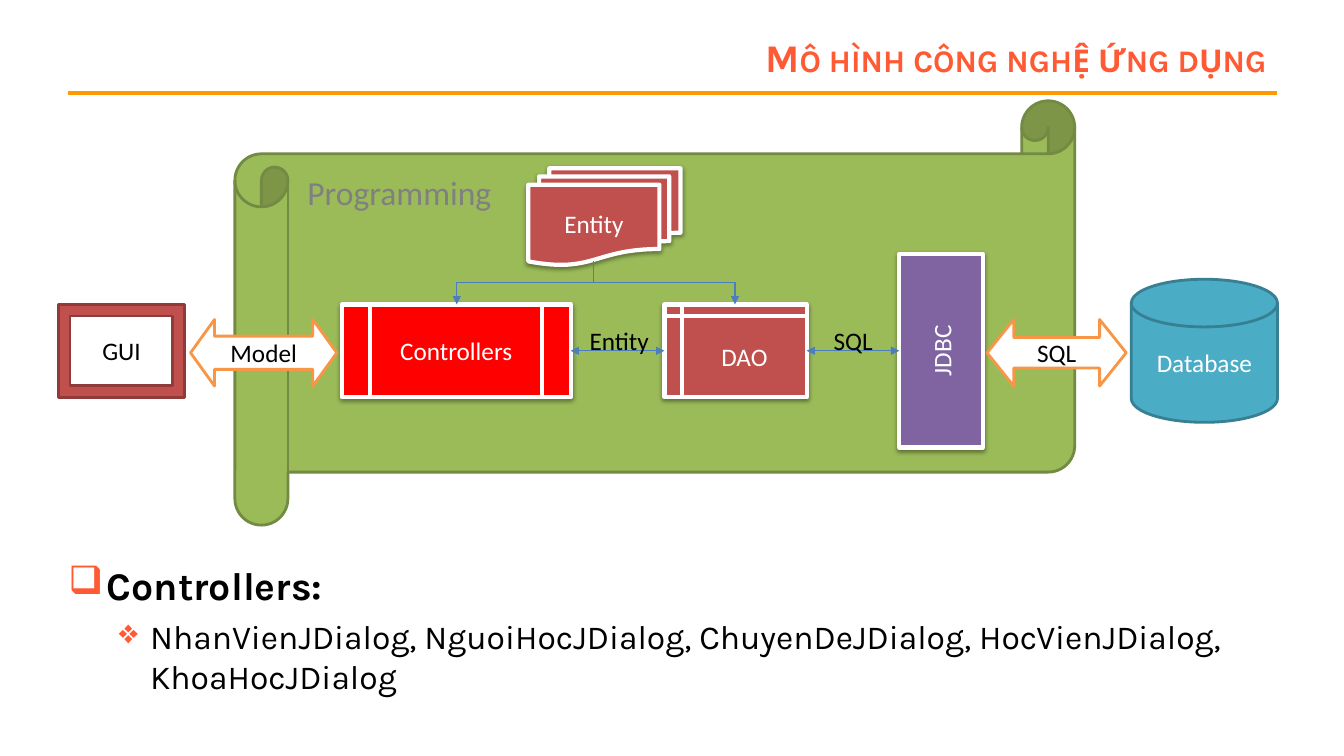
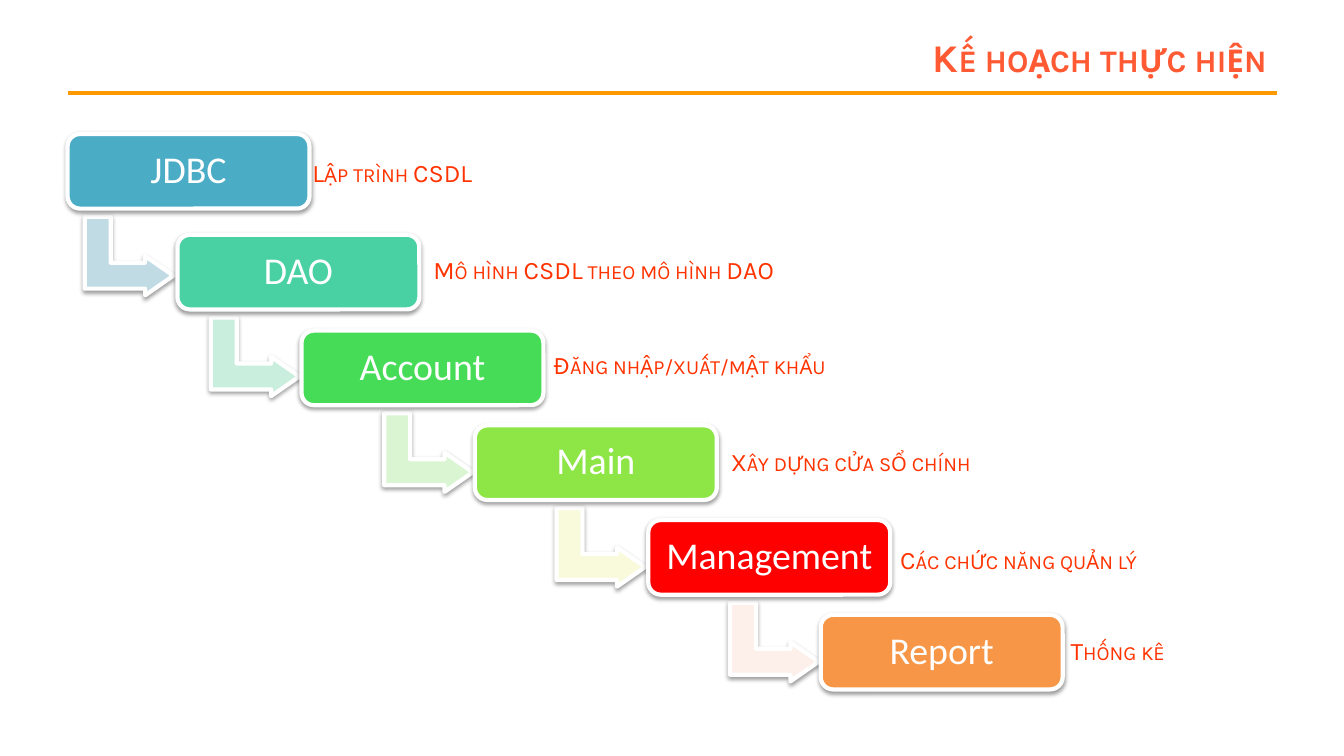
from lxml import etree
from pptx import Presentation
from pptx.dml.color import RGBColor
from pptx.enum.shapes import MSO_CONNECTOR, MSO_SHAPE
from pptx.enum.text import MSO_ANCHOR, MSO_AUTO_SIZE, PP_ALIGN
from pptx.oxml.ns import qn
from pptx.util import Inches, Pt

WHITE = RGBColor(0xFF, 0xFF, 0xFF)
BLACK = RGBColor(0, 0, 0)
GRAY = RGBColor(0x80, 0x80, 0x80)
RULE = RGBColor(0xFF, 0x99, 0x00)
TITLE = RGBColor(0xFF, 0x5A, 0x33)
CAPTION = RGBColor(0xFF, 0x33, 0x00)
GREEN = RGBColor(0x9B, 0xBB, 0x59)
DARK_GREEN = RGBColor(0x73, 0x8A, 0x42)
TEAL = RGBColor(0x4B, 0xAC, 0xC6)
DARK_TEAL = RGBColor(0x37, 0x7F, 0x92)
BRICK = RGBColor(0xC0, 0x50, 0x4D)
DARK_BRICK = RGBColor(0x8E, 0x3B, 0x39)
PURPLE = RGBColor(0x80, 0x64, 0xA2)
RED = RGBColor(0xFF, 0, 0)
ORANGE = RGBColor(0xF7, 0x96, 0x46)
BLUE = RGBColor(0x4B, 0x7E, 0xBC)
MINT = RGBColor(0x49, 0xD1, 0xA3)
LEAF = RGBColor(0x47, 0xDC, 0x57)
LIME = RGBColor(0x8D, 0xE6, 0x46)
PALE_BLUE = RGBColor(0xC1, 0xDB, 0xE5)
PALE_MINT = RGBColor(0xC9, 0xEE, 0xDD)
PALE_LEAF = RGBColor(0xD9, 0xF5, 0xD1)
PALE_LIME = RGBColor(0xF9, 0xFA, 0xDC)
PALE_RED = RGBColor(0xFD, 0xEF, 0xE9)


# Shared helpers
def child(parent, tag, **attrs):
    return etree.SubElement(parent, qn(tag), attrs)


def add_run(p, text, size, color, font="Calibri", bold=False, small_caps=False):
    r = p.add_run()
    r.text = text
    r.font.size, r.font.name, r.font.bold = Pt(size), font, bold
    r.font.color.rgb = color
    if small_caps:
        r.font._element.set("cap", "small")
    return r


def add_box(s, kind, x, y, w, h, fill, line=WHITE, weight=3, text="",
            color=WHITE, size=18, adj=(), shadow=False):
    sp = s.shapes.add_shape(kind, Inches(x), Inches(y), Inches(w), Inches(h))
    sp.fill.solid()
    sp.fill.fore_color.rgb = fill
    sp.line.color.rgb = line
    sp.line.width = Pt(weight)
    for i, value in enumerate(adj):
        sp.adjustments[i] = value
    sp.shadow.inherit = False
    if shadow:
        effects = sp._element.spPr.find(qn("a:effectLst"))
        outer = child(effects, "a:outerShdw", blurRad="40000", dist="20000",
                      dir="5400000", rotWithShape="0")
        child(child(outer, "a:srgbClr", val="000000"), "a:alpha", val="38000")
    if text:
        tf = sp.text_frame
        tf.vertical_anchor = MSO_ANCHOR.MIDDLE
        p = tf.paragraphs[0]
        p.alignment = PP_ALIGN.CENTER
        add_run(p, text, size, color)
    return sp


def add_label(s, x, y, w, h, text, size, color, **style):
    sp = s.shapes.add_textbox(Inches(x), Inches(y), Inches(w), Inches(h))
    tf = sp.text_frame
    tf.word_wrap = False
    tf.auto_size = MSO_AUTO_SIZE.SHAPE_TO_FIT_TEXT
    add_run(tf.paragraphs[0], text, size, color, **style)


def add_line(s, kind, x1, y1, x2, y2, color, weight, ends=()):
    sp = s.shapes.add_connector(kind, Inches(x1), Inches(y1), Inches(x2), Inches(y2))
    sp.line.color.rgb = color
    sp.line.width = Pt(weight)
    for end in ends:
        child(sp.line._get_or_add_ln(), end, type="triangle")
    child(sp._element.spPr, "a:effectLst")
    return sp


def add_link(s, left_box, right_box):
    sp = add_line(s, MSO_CONNECTOR.STRAIGHT, 0, 0, 1, 1, BLUE, 0.75,
                  ("a:headEnd", "a:tailEnd"))
    sp.begin_connect(left_box, 3)
    sp.end_connect(right_box, 1)


def add_drop(s, x1, y1, x2, y2):
    """Elbow arrow that leaves downwards and arrives downwards."""
    cx, cy = (x1 + x2) / 2, (y1 + y2) / 2
    half_w, half_h = (y2 - y1) / 2, abs(x2 - x1) / 2
    turn = "5400000"
    if x2 > x1:
        turn, half_w = "16200000", -half_w
    sp = add_line(s, MSO_CONNECTOR.ELBOW, cx - half_w, cy - half_h,
                  cx + half_w, cy + half_h, BLUE, 0.75, ("a:tailEnd",))
    sp._element.spPr.find(qn("a:xfrm")).set("rot", turn)


def new_slide(prs, title):
    s = prs.slides.add_slide(prs.slide_layouts[6])
    add_line(s, MSO_CONNECTOR.STRAIGHT, 0.67, 0.92, 12.67, 0.92, RULE, 3)
    sp = s.shapes.add_textbox(Inches(2.44), Inches(0.3), Inches(10.22), Inches(0.53))
    tf = sp.text_frame
    tf.word_wrap = True
    tf.vertical_anchor = MSO_ANCHOR.MIDDLE
    p = tf.paragraphs[0]
    p.alignment = PP_ALIGN.RIGHT
    add_run(p, title, 28, TITLE, "Karla", True, True)
    return s


# Slide 1 regions
def add_architecture(s, x, y):
    add_box(s, MSO_SHAPE.HORIZONTAL_SCROLL, x + 1.75, y, 8.33, 4.21,
            GREEN, DARK_GREEN, 2)
    add_box(s, MSO_SHAPE.FLOWCHART_MAGNETIC_DISK, x + 10.64, y + 1.77, 1.45, 1.42,
            TEAL, DARK_TEAL, 2, "Database")
    add_box(s, MSO_SHAPE.FRAME, x, y + 2.02, 1.25, 0.92,
            BRICK, DARK_BRICK, 2, "GUI", BLACK)
    # Program parts
    jdbc = add_box(s, MSO_SHAPE.RECTANGLE, x + 8.34, y + 1.52, 0.83, 1.92,
                   PURPLE, text="JDBC", shadow=True)
    jdbc.text_frame._txBody.bodyPr.set("vert", "vert270")
    add_box(s, MSO_SHAPE.FLOWCHART_MULTIDOCUMENT, x + 4.66, y + 0.67, 1.51, 0.96,
            BRICK, text="Entity", shadow=True)
    controllers = add_box(s, MSO_SHAPE.FLOWCHART_PREDEFINED_PROCESS, x + 2.81,
                          y + 2.02, 2.27, 0.92, RED, text="Controllers", shadow=True)
    dao = add_box(s, MSO_SHAPE.FLOWCHART_INTERNAL_STORAGE, x + 6.01, y + 2.02,
                  1.41, 0.92, BRICK, text="DAO", shadow=True)
    # Links between parts
    add_link(s, controllers, dao)
    add_link(s, dao, jdbc)
    for target in (3.95, 6.71):
        add_drop(s, x + 5.31, y + 1.59, x + target, y + 2.02)
    for dx, w, text, adj in ((1.31, 1.45, "Model", (0.5, 0.36)),
                             (9.21, 1.38, "SQL", (0.46, 0.4))):
        add_box(s, MSO_SHAPE.LEFT_RIGHT_ARROW, x + dx, y + 2.17, w, 0.66,
                WHITE, ORANGE, 2, text, BLACK, adj=adj)
    # Loose labels
    add_label(s, x + 7.59, y + 2.18, 0.59, 0.4, "SQL", 18, BLACK)
    add_label(s, x + 5.17, y + 2.18, 0.8, 0.4, "Entity", 18, BLACK)
    add_label(s, x + 2.37, y + 0.66, 2.04, 0.5, "Programming", 24, GRAY)


def add_bullets(s, x, y, w, h, items):
    sp = s.shapes.add_textbox(Inches(x), Inches(y), Inches(w), Inches(h))
    tf = sp.text_frame
    tf.word_wrap = True
    styles = (("❑", 0.38, 0.38, 28), ("❖", 0.81, 0.31, 24))
    for i, (level, text) in enumerate(items):
        mark, margin, hang, size = styles[level]
        p = tf.add_paragraph() if i else tf.paragraphs[0]
        p.level = level
        pPr = p._p.get_or_add_pPr()
        pPr.set("marL", str(Inches(margin)))
        pPr.set("indent", str(-Inches(hang)))
        child(child(pPr, "a:buClr"), "a:srgbClr", val=str(TITLE))
        child(pPr, "a:buChar", char=mark)
        if i:
            p.space_before = Pt(5)
        add_run(p, text, size, BLACK, "Karla", level == 0)


# Slide 2 regions
def add_step(s, x, y, name, fill, caption, arrow):
    if arrow:
        dx, pale = arrow
        sp = add_box(s, MSO_SHAPE.BENT_UP_ARROW, x + dx, y + 0.77, 0.78, 0.88,
                     pale, adj=(0.33, 0.25, 0.36), shadow=True)
        sp.rotation = 90
    sp = add_box(s, MSO_SHAPE.ROUNDED_RECTANGLE, x, y, 2.4, 0.74, fill,
                 text=name, size=27, shadow=True)
    tf = sp.text_frame
    tf.margin_left = tf.margin_right = Inches(0.1)
    tf.paragraphs[0].line_spacing = 0.9
    dx, dy, w, text = caption
    add_label(s, x + dx, y + dy, w, 0.4, text, 18, CAPTION,
              font="Karla", small_caps=True)


STEPS = (
    (0.67, 1.33, "JDBC", TEAL, (2.33, 0.18, 1.86, "Lập trình CSDL"),
     (0.22, PALE_BLUE)),
    (1.76, 2.33, "DAO", MINT, (2.44, 0.14, 3.92, "Mô hình CSDL theo mô hình DAO"),
     (0.38, PALE_MINT)),
    (2.99, 3.28, "Account", LEAF, (2.4, 0.14, 3.11, "Đăng nhập/xuất/mật khẩu"),
     (0.87, PALE_LEAF)),
    (4.71, 4.22, "Main", LIME, (2.44, 0.16, 2.7, "Xây dựng cửa sổ chính"),
     (0.86, PALE_LIME)),
    (6.43, 5.16, "Management", RED, (2.4, 0.19, 2.76, "Các chức năng quản lý"),
     (0.86, PALE_RED)),
    (8.14, 6.1, "Report", ORANGE, (2.38, 0.15, 1.21, "Thống kê"), None),
)


def main():
    prs = Presentation()
    prs.slide_width, prs.slide_height = Inches(13.33), Inches(7.5)

    s = new_slide(prs, "Mô hình công nghệ ứng dụng")
    add_architecture(s, 0.58, 1)
    add_bullets(s, 0.58, 5.52, 12.08, 1.64, (
        (0, "Controllers:"),
        (1, "NhanVienJDialog, NguoiHocJDialog, ChuyenDeJDialog, "
            "HocVienJDialog, KhoaHocJDialog"),
    ))

    s = new_slide(prs, "Kế hoạch thực hiện")
    for step in STEPS:
        add_step(s, *step)

    prs.save("out.pptx")


if __name__ == "__main__":
    main()
